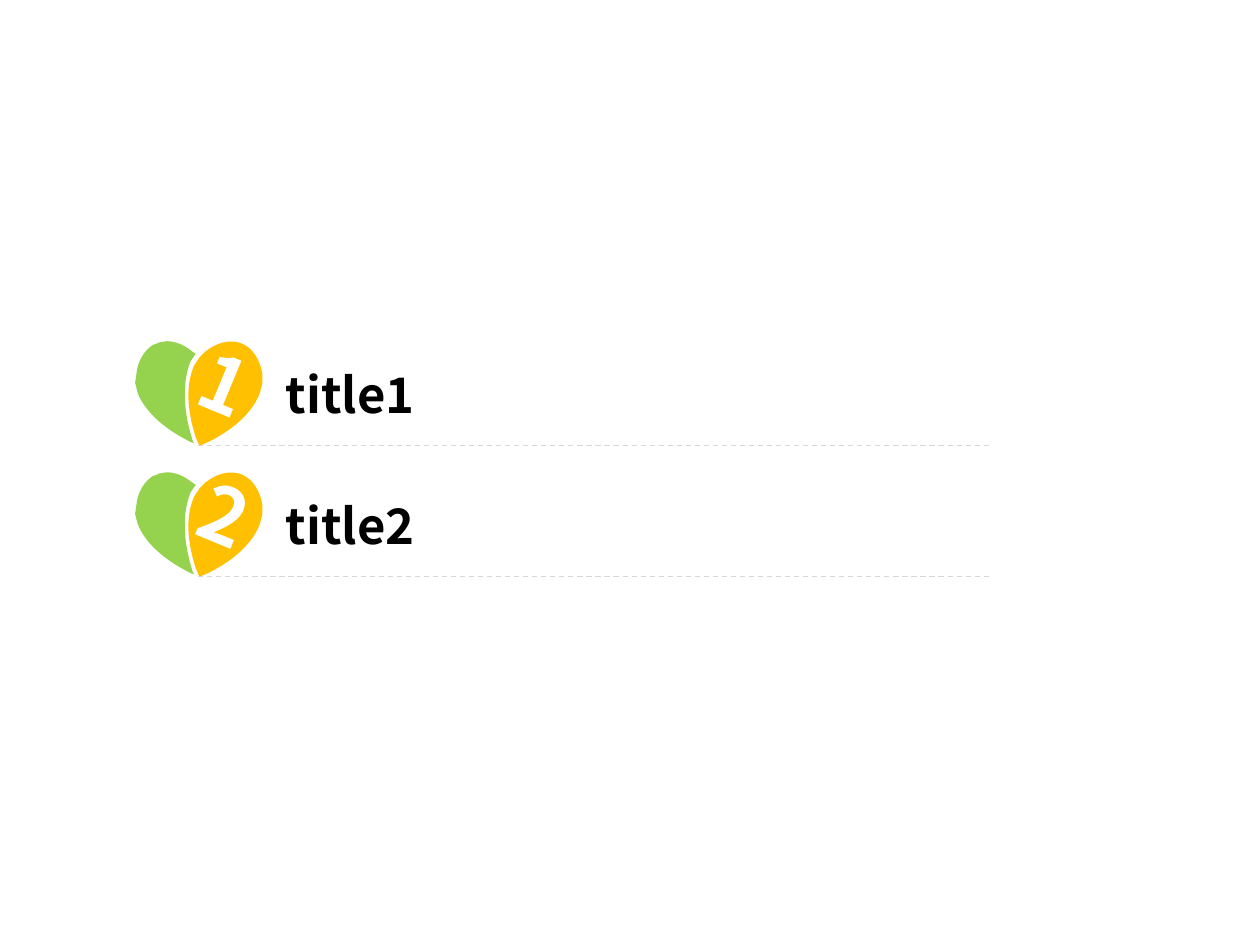
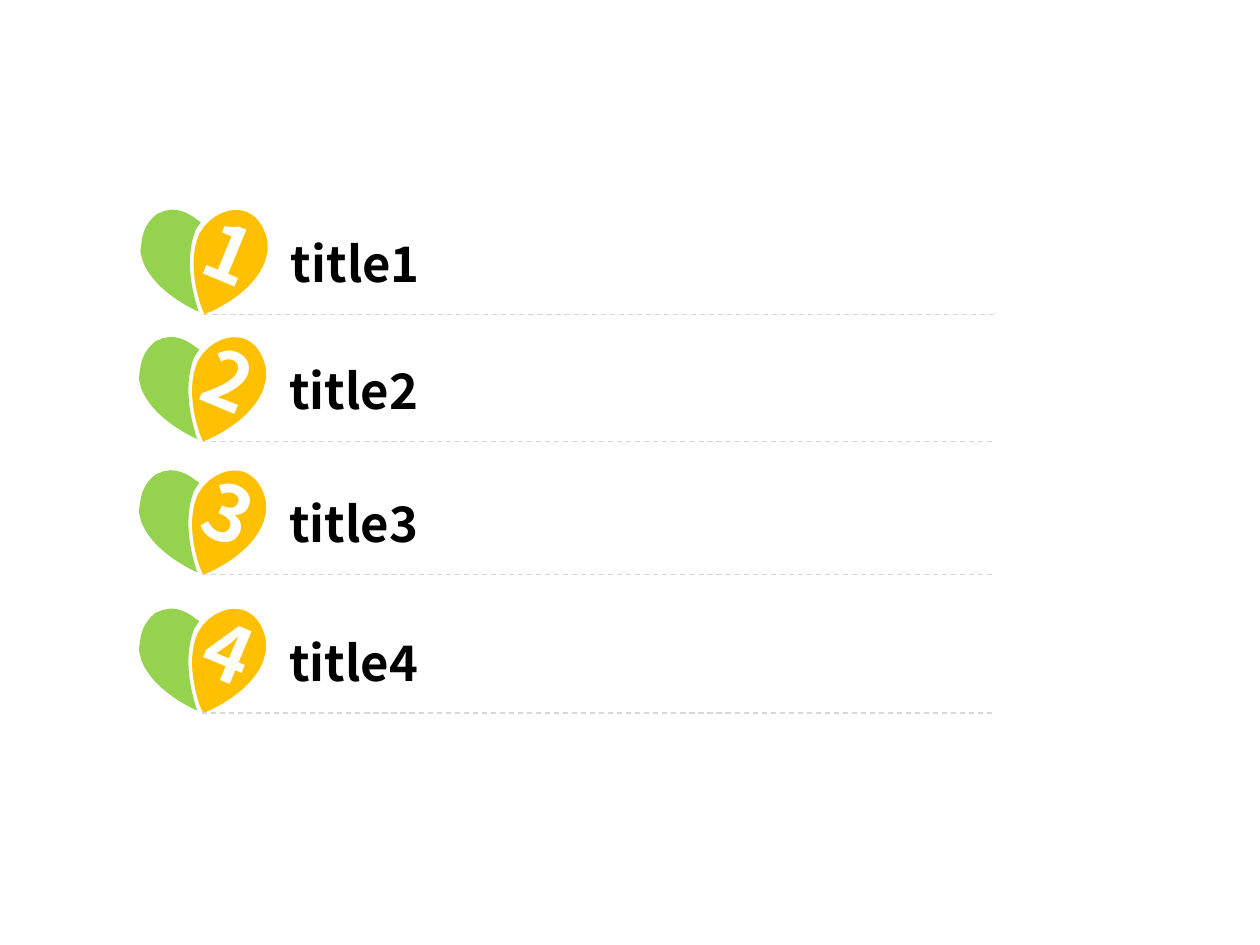
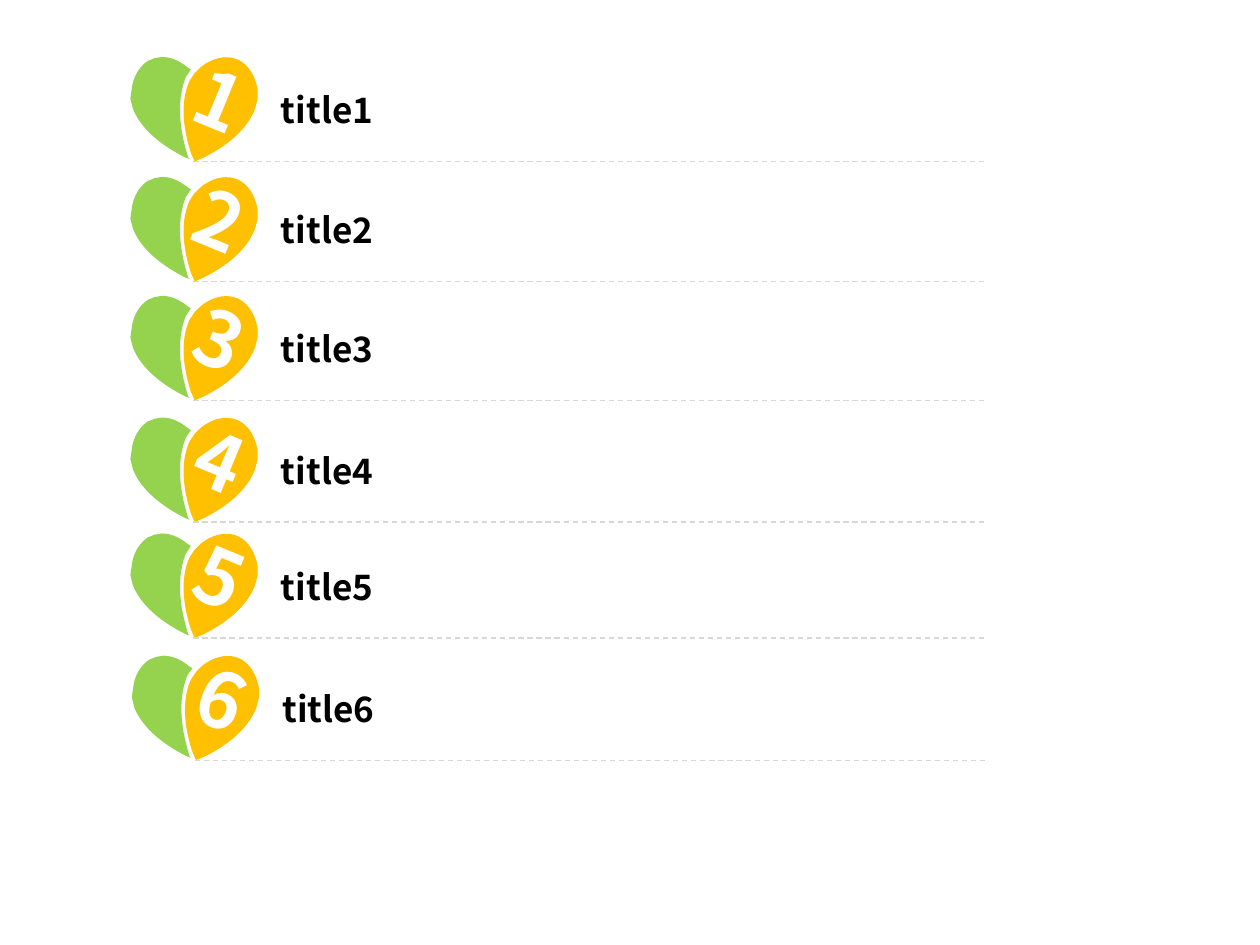
"""Build three numbered heart lists of two, four and six titles."""
from dataclasses import dataclass
from itertools import chain
from math import cos, radians, sin

from lxml.etree import SubElement
from pptx import Presentation
from pptx.dml.color import RGBColor
from pptx.enum.dml import MSO_LINE
from pptx.enum.shapes import MSO_CONNECTOR
from pptx.enum.text import MSO_ANCHOR, PP_ALIGN
from pptx.oxml.ns import qn
from pptx.shapes.autoshape import Shape
from pptx.slide import Slide
from pptx.util import Emu, Inches, Pt

COLS, ROWS = 1000, 750


@dataclass(frozen=True)
class Theme:
    """Colours, fonts and type sizes of the deck."""
    green: str = "95D34E"
    gold: str = "FFC001"
    rule: str = "D7D7D7"
    white: str = "FFFFFF"
    black: str = "000000"
    digit_font: str = "Noto Sans CJK JP"
    title_font: str = "Noto Sans CJK SC"
    digit: int = 44
    large: int = 28
    small: int = 20


@dataclass(frozen=True)
class Leaf:
    """Half a heart: steps of one (line) or three (curve) points from its tip."""
    color: str
    angle: float
    steps: tuple[tuple[complex, ...], ...]


@dataclass(frozen=True)
class Page:
    """A list whose hearts stand with their tips on the given grid points."""
    size: int
    tips: tuple[tuple[float, float], ...]


THEME = Theme()
LEFT = Leaf(THEME.green, -22.5, (
    (-25 - 83j,), (-18 - 83j, -11 - 80j, -5 - 75j), (-2 - 73j,), (-6 - 67j,),
    (-12 - 52j, -13 - 31j, -4 - 3j), (-3 - 2j,), (-6 - 3j,),
    (-30 - 15j, -43 - 29j, -48 - 42j), (-50 - 50j,), (-49 - 57j,),
    (-48 - 68j, -42 - 76j, -36 - 80j), (-33 - 81j,), (-31 - 82j,),
    (-29 - 82j, -27 - 83j, -25 - 83j)))
RIGHT = Leaf(THEME.gold, 22.5, (
    (35 - 81j,), (32 - 82j,), (24 - 84j, 15 - 82j, 6 - 75j), (1 - 70j,), (-3 - 64j,),
    (-9 - 51j, -10 - 32j, -2 - 7j), (1 + 0j,), (8 - 3j,),
    (32 - 15j, 44 - 29j, 49 - 42j), (51 - 50j,), (51 - 57j,),
    (49 - 68j, 44 - 76j, 37 - 80j)))
PAGES = (
    Page(THEME.large, ((157.3, 353.8), (157.3, 457.8))),
    Page(THEME.large, ((161.4, 249.4), (160.2, 350.4), (160.2, 456.2), (160.2, 566))),
    Page(THEME.small, ((153.5, 128.2), (153.5, 223.4), (153.5, 317.8),
                       (153.5, 414.4), (153.5, 506.4), (154.6, 603.4))),
)


def cells(count: float) -> Emu:
    """Return the length of a number of grid cells."""
    return Emu(round(count * Inches(0.01)))


def write(shape: Shape, text: str, font: str, size: int, color: str) -> None:
    """Set one bold line of text, centred on the shape's height."""
    frame = shape.text_frame
    frame.text = text
    frame.word_wrap = True
    frame.vertical_anchor = MSO_ANCHOR.MIDDLE
    face = frame.paragraphs[0].runs[0].font
    face.name, face.size, face.bold = font, Pt(size), True
    face.color.rgb = RGBColor.from_string(color)


def bend(shape: Shape, leaf: Leaf) -> None:
    """Join each three lines of a curved step into one Bézier curve."""
    nodes = iter(list(shape._element.iter(qn("a:lnTo"))))
    for step in leaf.steps[1:]:
        first, *others = [next(nodes) for _ in step]
        if others:
            first.tag = qn("a:cubicBezTo")
        for node in others:
            first.append(node[0])
            node.getparent().remove(node)


def add_leaf(slide: Slide, leaf: Leaf, col: float, row: float) -> Shape:
    """Draw a leaf upright, then turn it so that its outline meets the tip."""
    turn = complex(cos(radians(leaf.angle)), sin(radians(leaf.angle)))
    points = [point / turn for point in chain(*leaf.steps)]
    xs, ys = [p.real for p in points], [p.imag for p in points]
    mid = complex(min(xs) + max(xs), min(ys) + max(ys)) / 2
    shift = mid * turn - mid + complex(col, row)
    spots = [(cells((p + shift).real), cells((p + shift).imag)) for p in points]
    pen = slide.shapes.build_freeform(*spots[0])
    pen.add_line_segments(spots[1:], close=True)
    shape = pen.convert_to_shape()
    bend(shape, leaf)
    shape.rotation = leaf.angle
    shape.shadow.inherit = False
    shape.fill.solid()
    shape.fill.fore_color.rgb = RGBColor.from_string(leaf.color)
    shape.line.fill.background()
    return shape


def add_rule(slide: Slide, col: float, row: float) -> None:
    """Draw the dashed rule that runs from a heart's tip."""
    rule = slide.shapes.add_connector(
        MSO_CONNECTOR.STRAIGHT, cells(col), cells(row), cells(col + 630), cells(row))
    rule.line.color.rgb = RGBColor.from_string(THEME.rule)
    rule.line.width = Pt(0.75)
    rule.line.dash_style = MSO_LINE.DASH
    SubElement(rule._element.spPr, qn("a:effectLst"))


def add_item(slide: Slide, index: int, col: float, row: float, size: int) -> None:
    """Draw one heart with its number, rule and title."""
    add_leaf(slide, LEFT, col, row)
    badge = add_leaf(slide, RIGHT, col, row)
    write(badge, str(index), THEME.digit_font, THEME.digit, THEME.white)
    frame = badge.text_frame
    frame.margin_left = frame.margin_top = frame.margin_right = 0
    frame.margin_bottom = cells(20)
    frame.paragraphs[0].alignment = PP_ALIGN.CENTER
    add_rule(slide, col, row)
    title = slide.shapes.add_textbox(
        cells(col + 59.7), cells(row - 73), cells(570), cells(64))
    write(title, f"title{index}", THEME.title_font, size, THEME.black)


def main() -> None:
    """Build and save the deck."""
    deck = Presentation()
    deck.slide_width, deck.slide_height = cells(COLS), cells(ROWS)
    blank = deck.slide_layouts.get_by_name("Blank")
    for page in PAGES:
        slide = deck.slides.add_slide(blank)
        for index, (col, row) in enumerate(page.tips, 1):
            add_item(slide, index, col, row, page.size)
    deck.save("out.pptx")


if __name__ == "__main__":
    main()
